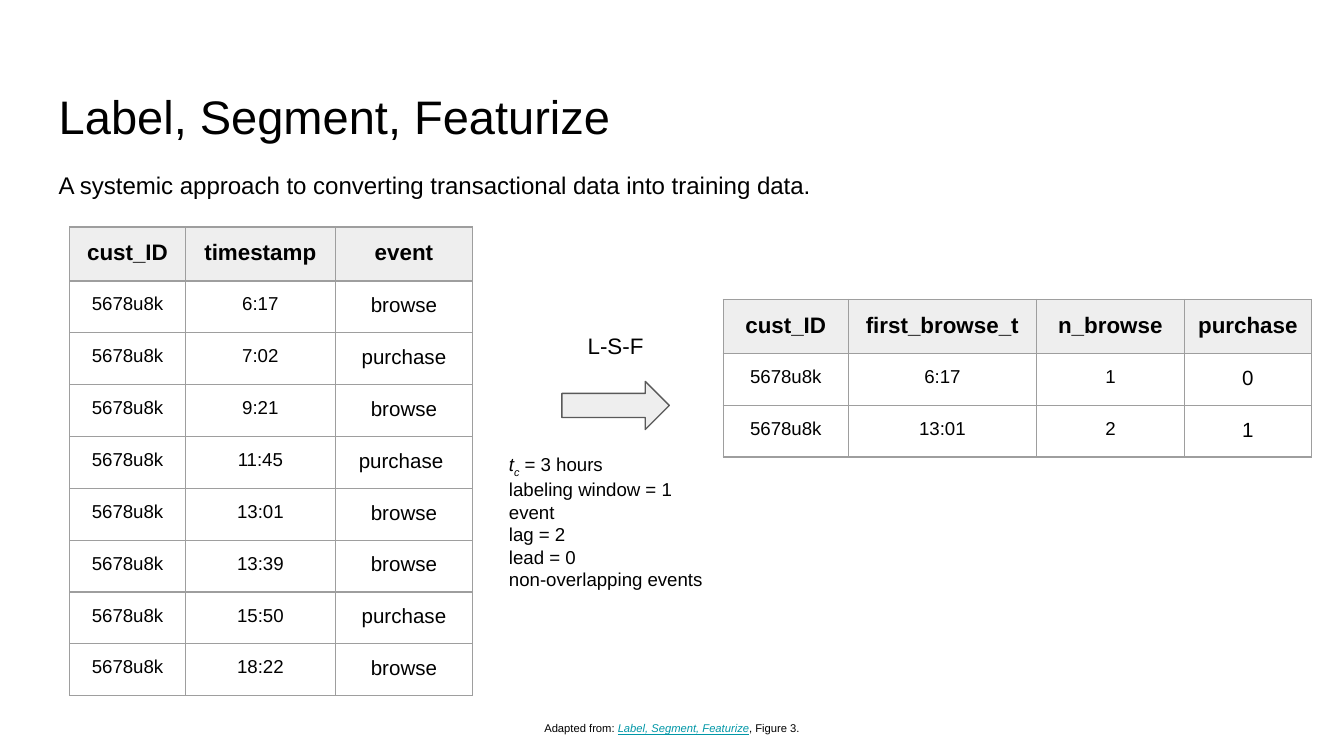
from dataclasses import dataclass

from lxml import etree
from pptx import Presentation
from pptx import util as u
from pptx.dml.color import RGBColor
from pptx.enum import shapes, text
from pptx.oxml import ns


@dataclass(frozen=True)
class Theme:
    font: str = "Arial"
    ink: str = "000000"
    shade: str = "EEEEEE"
    grid: str = "9E9E9E"
    outline: str = "595959"
    link: str = "0097A7"
    title: float = 25.2
    subtitle: float = 12.9
    heading: float = 12
    outcome: float = 11
    body: float = 10
    source: float = 6
    line: float = 0.75
    inset: float = 0.25


@dataclass(frozen=True)
class Box:
    left: float
    top: float
    width: float
    height: float

    def lengths(self) -> list[u.Length]:
        return [u.Cm(n) for n in (self.left, self.top, self.width, self.height)]


@dataclass(frozen=True)
class DataTable:
    left: float
    top: float
    widths: tuple[float, ...]
    rows: list[tuple[str, ...]]
    header_height: float = 1.02
    row_height: float = 0.98


THEME = Theme()
CENTER = text.PP_ALIGN.CENTER
LEFT = text.PP_ALIGN.LEFT


def style_run(run, size: float, color: str = THEME.ink, bold: bool = False) -> None:
    run.font.name = THEME.font
    run.font.size = u.Pt(size)
    run.font.bold = bold
    run.font.color.rgb = RGBColor.from_string(color)


def style_frame(frame, size: float, align=LEFT) -> None:
    frame.word_wrap = True
    frame.margin_left = frame.margin_right = u.Cm(THEME.inset)
    frame.margin_top = frame.margin_bottom = u.Cm(THEME.inset)
    for paragraph in frame.paragraphs:
        paragraph.alignment = align
        for run in paragraph.runs:
            style_run(run, size)


def add_text(parent, box: Box, words: str, size: float, align=LEFT):
    frame = parent.add_textbox(*box.lengths()).text_frame
    frame.text = words
    style_frame(frame, size, align)
    return frame


def add_borders(cell) -> None:
    properties = cell._tc.get_or_add_tcPr()
    for position, side in enumerate(("lnL", "lnR", "lnT", "lnB")):
        border = etree.Element(ns.qn(f"a:{side}"), w=str(u.Pt(THEME.line)))
        fill = etree.SubElement(border, ns.qn("a:solidFill"))
        etree.SubElement(fill, ns.qn("a:srgbClr"), val=THEME.grid)
        properties.insert(position, border)


def add_data_table(parent, data: DataTable) -> None:
    height = data.header_height + data.row_height * (len(data.rows) - 1)
    box = Box(data.left, data.top, sum(data.widths), height)
    table = parent.add_table(len(data.rows), len(data.widths), *box.lengths()).table
    for column, width in zip(table.columns, data.widths):
        column.width = u.Cm(width)
    last = len(data.widths) - 1
    for r, values in enumerate(data.rows):
        header = r == 0
        table.rows[r].height = u.Cm(data.header_height if header else data.row_height)
        for c, value in enumerate(values):
            cell = table.cell(r, c)
            cell.margin_left = cell.margin_right = u.Cm(THEME.inset)
            cell.margin_top = cell.margin_bottom = u.Cm(THEME.inset)
            if header:
                cell.fill.solid()
                cell.fill.fore_color.rgb = RGBColor.from_string(THEME.shade)
                size = THEME.heading
            else:
                cell.fill.background()
                size = THEME.outcome if c == last else THEME.body
            paragraph = cell.text_frame.paragraphs[0]
            paragraph.text = value
            paragraph.alignment = CENTER
            style_run(paragraph.runs[0], size, bold=header)
            add_borders(cell)


def add_title(slide) -> None:
    title = slide.shapes.title
    title.left, title.top, title.width, title.height = Box(0.86, 1.24, 23.67, 1.6).lengths()
    frame = title.text_frame
    frame.text = "Label, Segment, Featurize"
    style_frame(frame, THEME.title)
    frame.auto_size = text.MSO_AUTO_SIZE.NONE
    frame.vertical_anchor = text.MSO_ANCHOR.TOP
    frame.paragraphs[0].line_spacing = 1.15
    frame.paragraphs[0].space_after = u.Pt(12)


def add_transformation(slide) -> None:
    step = slide.shapes.add_group_shape().shapes
    arrow = step.add_shape(shapes.MSO_SHAPE.RIGHT_ARROW, *Box(10.62, 7.21, 2.03, 0.91).lengths())
    arrow.shadow.inherit = False
    arrow.fill.solid()
    arrow.fill.fore_color.rgb = RGBColor.from_string(THEME.shade)
    arrow.line.color.rgb = RGBColor.from_string(THEME.outline)
    arrow.line.width = u.Pt(THEME.line)

    add_text(step, Box(10.62, 6.02, 2.03, 1.02), "L-S-F", THEME.heading, CENTER)

    settings = add_text(
        step, Box(9.37, 8.31, 4.5, 3.07),
        "t\nlabeling window = 1 event\nlag = 2\nlead = 0\nnon-overlapping events",
        THEME.body)
    cutoff = settings.paragraphs[0]
    symbol, subscript, value = cutoff.runs[0], cutoff.add_run(), cutoff.add_run()
    subscript.text, value.text = "c", " = 3 hours"
    for run in (subscript, value):
        style_run(run, THEME.body)
    symbol.font.italic = subscript.font.italic = True
    subscript._r.get_or_add_rPr().set("baseline", "-25000")


def add_source(slide) -> None:
    frame = add_text(slide.shapes, Box(0, 13.51, 25.4, 0.76), "Adapted from: ", THEME.source, CENTER)
    work, figure = (frame.paragraphs[0].add_run() for _ in range(2))
    work.text, figure.text = "Label, Segment, Featurize", ", Figure 3."
    style_run(work, THEME.source, THEME.link)
    work.font.italic = work.font.underline = True
    style_run(figure, THEME.source)


CUSTOMER = "5678u8k"
EVENTS = [("6:17", "browse"), ("7:02", "purchase"), ("9:21", "browse"),
          ("11:45", "purchase "), ("13:01", "browse"), ("13:39", "browse"),
          ("15:50", "purchase"), ("18:22", "browse")]
EXAMPLES = [("6:17", "1", "0"), ("13:01", "2", "1")]

TRANSACTIONS = DataTable(
    1.32, 4.29, (2.18, 2.84, 2.59),
    [("cust_ID", "timestamp", "event"), *((CUSTOMER, *event) for event in EVENTS)])
TRAINING = DataTable(
    13.67, 5.66, (2.36, 3.56, 2.79, 2.41),
    [("cust_ID", "first_browse_t", "n_browse", "purchase "),
     *((CUSTOMER, *example) for example in EXAMPLES)])


def main() -> None:
    deck = Presentation()
    deck.slide_width, deck.slide_height = u.Cm(25.4), u.Cm(14.29)
    slide = deck.slides.add_slide(deck.slide_layouts[5])

    # Heading
    add_title(slide)
    subtitle = add_text(
        slide.shapes, Box(0.86, 3, 23.67, 1.09),
        "A systemic approach to converting transactional data into training data.",
        THEME.subtitle)
    subtitle.vertical_anchor = text.MSO_ANCHOR.MIDDLE
    subtitle.paragraphs[0].line_spacing = 0.8

    # Transactions become training examples
    add_data_table(slide.shapes, TRANSACTIONS)
    add_transformation(slide)
    add_data_table(slide.shapes, TRAINING)

    # Credit line
    add_source(slide)
    deck.save("out.pptx")


if __name__ == "__main__":
    main()
